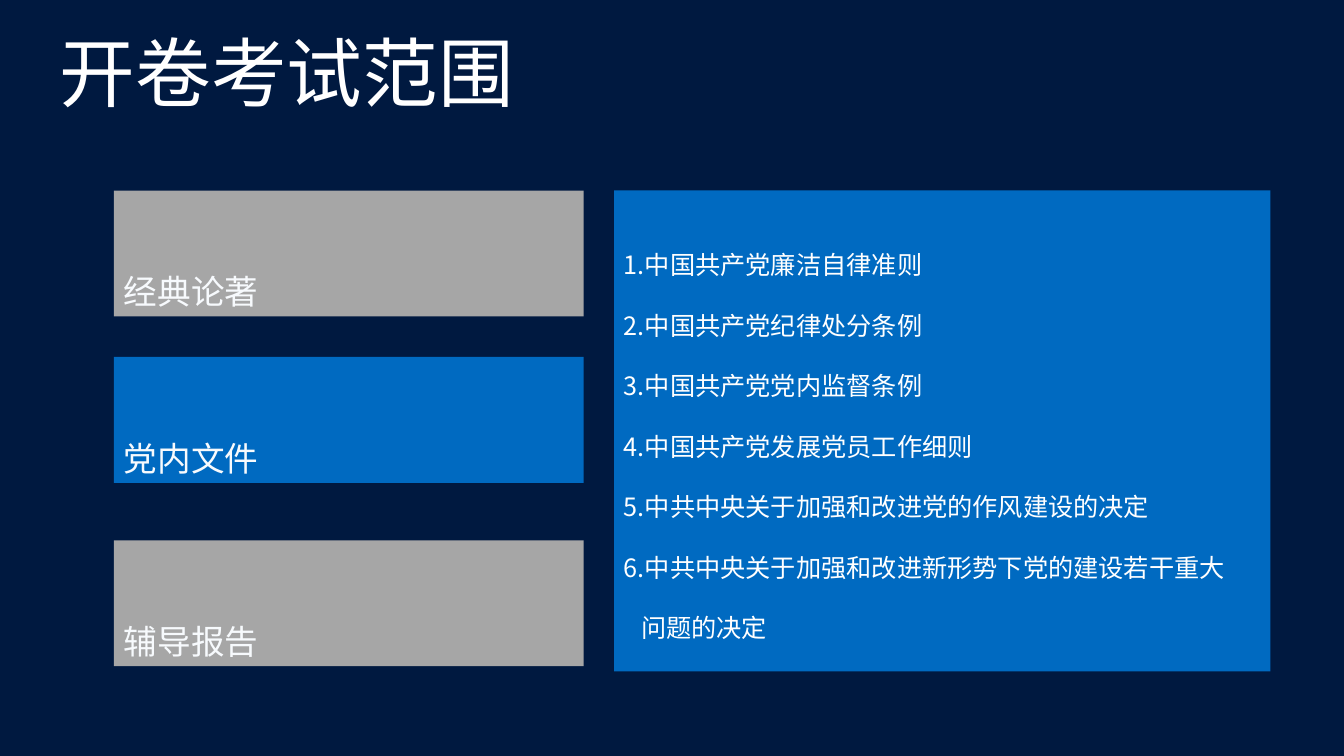
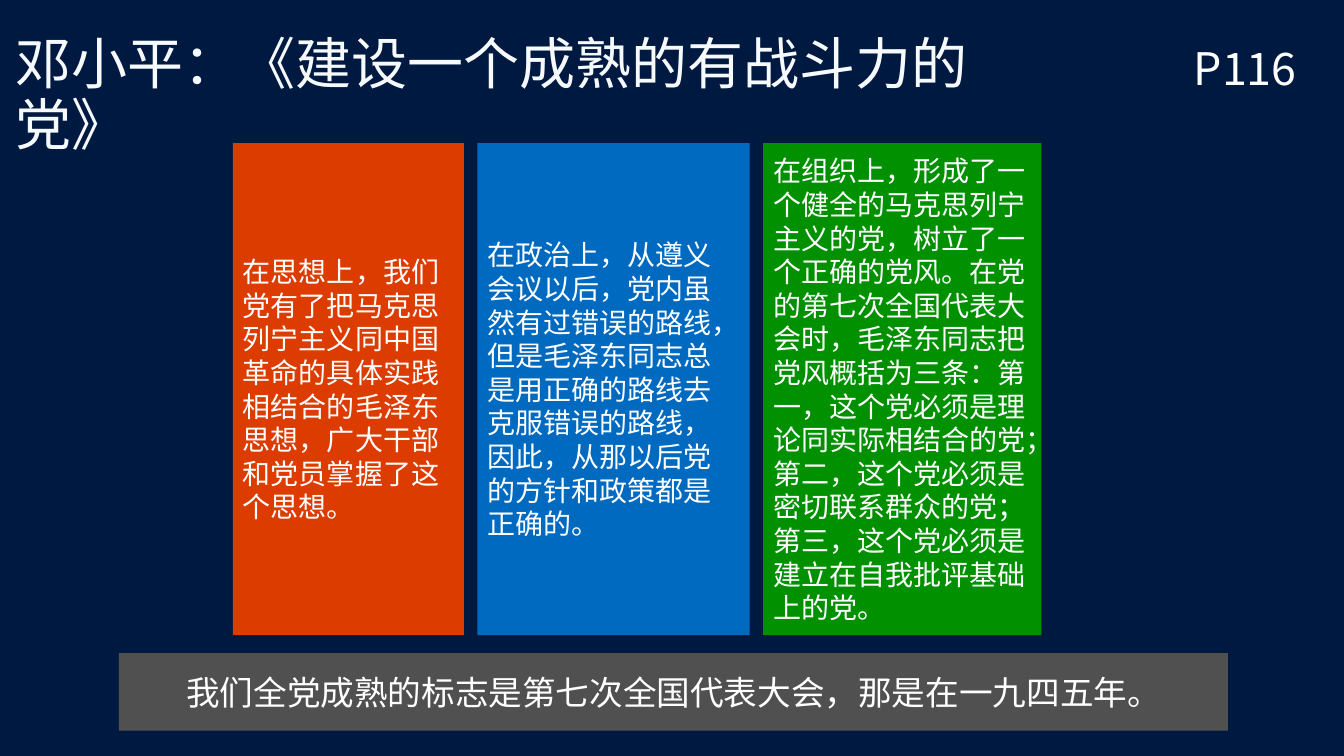
from pptx import Presentation
from pptx.dml.color import RGBColor
from pptx.enum.shapes import MSO_SHAPE
from pptx.enum.text import MSO_ANCHOR, PP_ALIGN
from pptx.oxml.ns import qn
from pptx.util import Inches, Pt
from lxml.etree import SubElement

# Shared style
FONT = "Noto Sans CJK SC"
NAVY, BLUE, GREY, DARK = "001940", "006AC1", "A6A6A6", "505050"
RED, GREEN, WHITE, PALE = "DC3C00", "009000", "FFFFFF", "F7FAFD"
TITLE_LEFT, TITLE_TOP = 0.06, 0.31

# Content: exam scope
SCOPE_TITLE = "开卷考试范围"
TOPICS = [  # label, top, fill
    ("经典论著", 1.89, GREY),
    ("党内文件", 3.54, BLUE),
    ("辅导报告", 5.36, GREY),
]
DOCUMENTS = [
    "中国共产党廉洁自律准则",
    "中国共产党纪律处分条例",
    "中国共产党党内监督条例",
    "中国共产党发展党员工作细则",
    "中共中央关于加强和改进党的作风建设的决定",
    "中共中央关于加强和改进新形势下党的建设若干重大\v问题的决定",
]

# Content: a mature party
PARTY_TITLE = "邓小平：《建设一个成熟的有战斗力的党》"
PAGE_REF = "P116"
ASPECTS = [  # width, fill, text
    (2.29, RED, "在思想上，我们党有了把马克思列宁主义同中国革命的具体实践相结合的毛泽东思想，"
                "广大干部和党员掌握了这个思想。"),
    (2.70, BLUE, "在政治上，从遵义会议以后，党内虽然有过错误的路线，但是毛泽东同志总是用正确的路线"
                 "去克服错误的路线，因此，从那以后党的方针和政策都是正确的。"),
    (2.76, GREEN, "在组织上，形成了一个健全的马克思列宁主义的党，树立了一个正确的党风。"
                  "在党的第七次全国代表大会时，毛泽东同志把党风概括为三条："
                  "第一，这个党必须是理论同实际相结合的党；第二，这个党必须是密切联系群众的党；"
                  "第三，这个党必须是建立在自我批评基础上的党。"),
]
ASPECT_LEFT, ASPECT_GAP = 2.31, 0.135
SUMMARY = "我们全党成熟的标志是第七次全国代表大会，那是在一九四五年。"


def rgb(value):
    return RGBColor.from_string(value)


def write(sp, lines, size, color=WHITE, align=PP_ALIGN.LEFT,
          anchor=MSO_ANCHOR.TOP, spacing=None, hanging=0):
    tf = sp.text_frame
    tf.word_wrap = True
    tf.vertical_anchor = anchor
    for i, line in enumerate(lines):
        p = tf.add_paragraph() if i else tf.paragraphs[0]
        p.text = line
        p.alignment = align
        if spacing:
            p.line_spacing = spacing
        if hanging:
            pPr = p._p.get_or_add_pPr()
            pPr.set("marL", str(Inches(hanging)))
            pPr.set("indent", str(-Inches(hanging)))
        for r in p.runs:
            r.font.size = Pt(size)
            r.font.name = FONT
            r.font.color.rgb = rgb(color)
            rPr = r._r.get_or_add_rPr()
            rPr.set("lang", "zh-CN")
            SubElement(rPr, qn("a:ea")).set("typeface", FONT)


def add_slide(prs):
    s = prs.slides.add_slide(prs.slide_layouts[6])
    s.background.fill.solid()
    s.background.fill.fore_color.rgb = rgb(NAVY)
    return s


def add_label(s, box, text, size, **style):
    sp = s.shapes.add_textbox(*map(Inches, box))
    write(sp, [text], size, **style)


def add_title(s, text, width, height, size, **style):
    add_label(s, (TITLE_LEFT, TITLE_TOP, width, height), text, size,
              spacing=0.9, **style)


def add_panel(s, box, fill, lines, size, anchor=MSO_ANCHOR.MIDDLE, **style):
    sp = s.shapes.add_shape(MSO_SHAPE.RECTANGLE, *map(Inches, box))
    sp.shadow.inherit = False
    sp.fill.solid()
    sp.fill.fore_color.rgb = rgb(fill)
    sp.line.fill.background()
    write(sp, lines, size, anchor=anchor, **style)


def build_scope(prs):
    s = add_slide(prs)
    add_title(s, SCOPE_TITLE, 5.57, 1.39, 54, align=PP_ALIGN.CENTER)
    for label, top, fill in TOPICS:
        add_panel(s, (1.13, top, 4.66, 1.25), fill, [label], 24,
                  anchor=MSO_ANCHOR.BOTTOM, color=PALE)
    numbered = [f"{n}.{name}" for n, name in enumerate(DOCUMENTS, 1)]
    add_panel(s, (6.09, 1.89, 6.51, 4.77), BLUE, numbered, 18,
              spacing=2, hanging=0.17)


def build_party(prs):
    s = add_slide(prs)
    add_title(s, PARTY_TITLE, 10.55, 0.74, 40, color=PALE)
    add_label(s, (9.1, 0.36, 3.86, 0.64), PAGE_REF, 32, align=PP_ALIGN.RIGHT)
    # Columns of differing width, set side by side
    left = ASPECT_LEFT
    for width, fill, text in ASPECTS:
        add_panel(s, (left, 1.42, width, 4.88), fill, [text], 20)
        left += width + ASPECT_GAP
    add_panel(s, (1.18, 6.48, 11, 0.77), DARK, [SUMMARY], 24,
              align=PP_ALIGN.CENTER)


def main():
    prs = Presentation()
    prs.slide_width, prs.slide_height = Inches(13.33), Inches(7.5)
    build_scope(prs)
    build_party(prs)
    prs.save("out.pptx")


if __name__ == "__main__":
    main()
